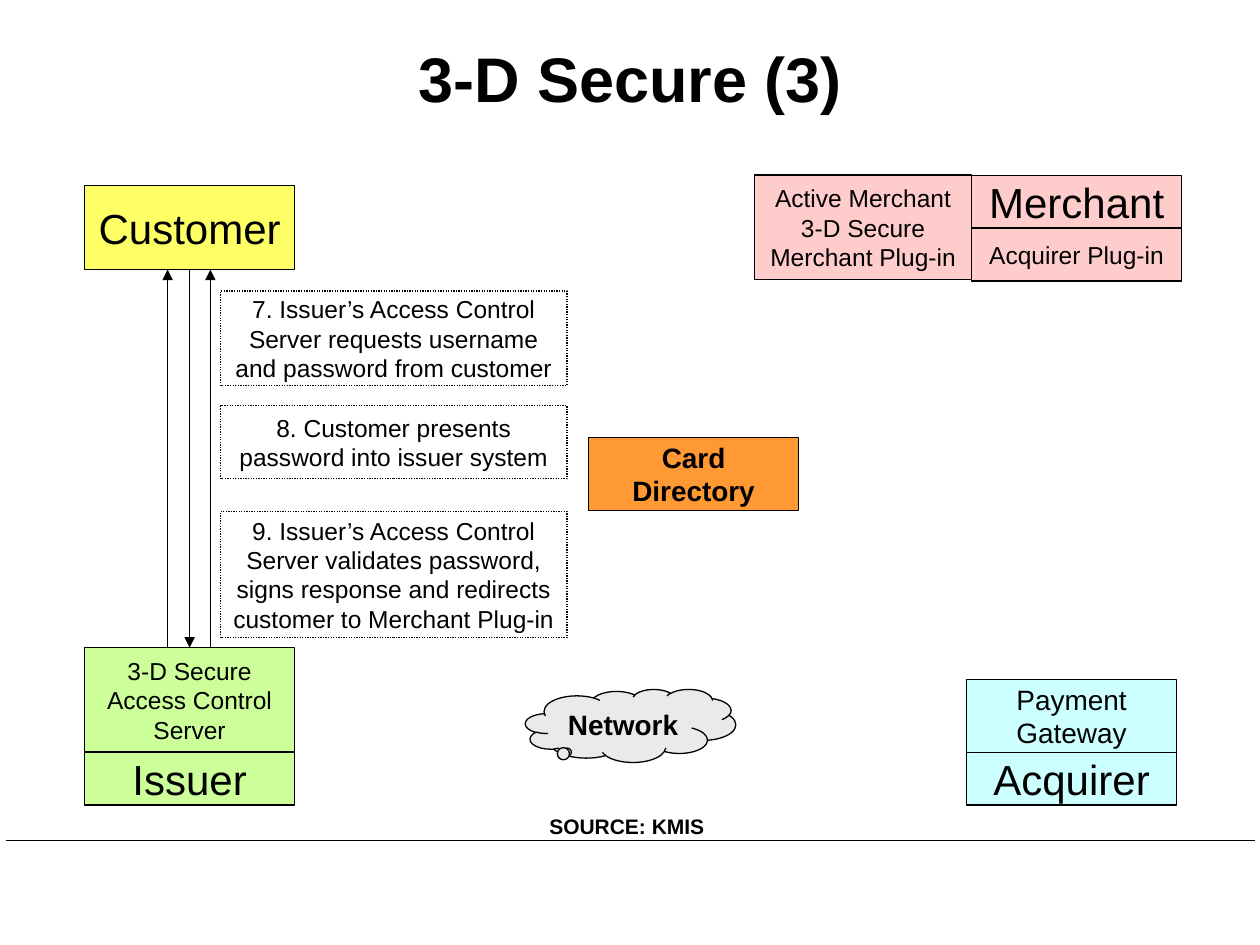
"""Build the third 3-D Secure slide: issuer authentication of the customer."""
from lxml import etree
from pptx import Presentation
from pptx import util as u
from pptx.dml.color import RGBColor
from pptx.enum import dml, shapes, text
from pptx.oxml import ns

THEME = {
    "font": "Arial",
    "ink": "000000",
    "customer": "FFFF66",
    "merchant": "FFCCCC",
    "issuer": "CCFF99",
    "acquirer": "CCFFFF",
    "directory": "FF9933",
    "network": "EAEAEA",
    "title": 36,
    "party": 24,
    "system": 16,
    "detail": 14,
    "source": 12,
}
INK = RGBColor.from_string(THEME["ink"])
BOX_WIDTH = 1.67
LEFT, RIGHT = 0.67, 7.67
STEP_LEFT, STEP_WIDTH = 1.75, 2.75


def write(shape, lines, size, bold=False, align=text.PP_ALIGN.CENTER, **frame_format):
    frame = shape.text_frame
    frame_values = {
        "word_wrap": True,
        "vertical_anchor": text.MSO_ANCHOR.MIDDLE,
        "margin_left": u.Inches(0.1),
        "margin_right": u.Inches(0.1),
        "margin_top": u.Inches(0.05),
        "margin_bottom": u.Inches(0.05),
    }
    for name, value in (frame_values | frame_format).items():
        setattr(frame, name, value)
    frame.text = lines
    font_values = {"name": THEME["font"], "size": u.Pt(THEME[size]), "bold": bold}
    for paragraph in frame.paragraphs:
        paragraph.alignment = align
        for name, value in font_values.items():
            setattr(paragraph.font, name, value)
        paragraph.font.color.rgb = INK


def add_line(slide, start, end, width, arrow=None):
    points = [u.Inches(value) for value in (*start, *end)]
    line = slide.shapes.add_connector(shapes.MSO_CONNECTOR.STRAIGHT, *points)
    line.line.color.rgb = INK
    line.line.width = u.Pt(width)
    if arrow:
        etree.SubElement(line.line._get_or_add_ln(), ns.qn(f"a:{arrow}"), type="triangle")
    etree.SubElement(line._element.spPr, ns.qn("a:effectLst"))
    return line


presentation = Presentation()
presentation.slide_width = u.Inches(10)
presentation.slide_height = u.Inches(7.5)
slide = presentation.slides.add_slide(presentation.slide_layouts[5])

add_line(slide, (0.05, 6.67), (9.96, 6.67), 1)

title = slide.shapes.title
title_place = {"left": 0.75, "top": -0.01, "width": 8.5, "height": 1.25}
for name, value in title_place.items():
    setattr(title, name, u.Inches(value))
write(title, "3-D Secure (3)", "title", bold=True)

RECTANGLE = shapes.MSO_SHAPE.RECTANGLE
CLOUD = shapes.MSO_SHAPE.CLOUD_CALLOUT
boxes = [
    ("Customer", LEFT, 1.47, BOX_WIDTH, 0.67, "customer", "party", False, RECTANGLE),
    ("Merchant", 7.71, 1.39, BOX_WIDTH, 0.42, "merchant", "party", False, RECTANGLE),
    ("Acquirer Plug-in", 7.71, 1.81, BOX_WIDTH, 0.42, "merchant", "detail", False, RECTANGLE),
    ("Active Merchant\n3-D Secure\nMerchant Plug-in", 5.99, 1.39, 1.72, 0.83,
     "merchant", "detail", False, RECTANGLE),
    ("Issuer", LEFT, 5.97, BOX_WIDTH, 0.42, "issuer", "party", False, RECTANGLE),
    ("3-D Secure\nAccess Control Server", LEFT, 5.14, BOX_WIDTH, 0.83,
     "issuer", "detail", False, RECTANGLE),
    ("Acquirer", RIGHT, 5.97, BOX_WIDTH, 0.42, "acquirer", "party", False, RECTANGLE),
    ("Payment\nGateway", RIGHT, 5.39, BOX_WIDTH, 0.58, "acquirer", "system", False, RECTANGLE),
    ("Card\nDirectory", 4.67, 3.47, BOX_WIDTH, 0.58, "directory", "system", True, RECTANGLE),
    ("Network", 4.17, 5.47, BOX_WIDTH, 0.58, "network", "system", True, CLOUD),
    ("7. Issuer’s Access Control Server requests username and password from customer",
     STEP_LEFT, 2.31, STEP_WIDTH, 0.75, None, "detail", False, RECTANGLE),
    ("8. Customer presents password into issuer system",
     STEP_LEFT, 3.22, STEP_WIDTH, 0.58, None, "detail", False, RECTANGLE),
    ("9. Issuer’s Access Control Server validates password, signs response and "
     "redirects customer to Merchant Plug-in",
     STEP_LEFT, 4.06, STEP_WIDTH, 1, None, "detail", False, RECTANGLE),
]
placed = {}
for label, left, top, width, height, fill, size, bold, kind in boxes:
    place = [u.Inches(value) for value in (left, top, width, height)]
    shape = slide.shapes.add_shape(kind, *place)
    shape.shadow.inherit = False
    shape.line.color.rgb = INK
    shape.line.width = u.Pt(0.75)
    if fill:
        shape.fill.solid()
        shape.fill.fore_color.rgb = RGBColor.from_string(THEME[fill])
    else:
        shape.fill.background()
        shape.line.dash_style = dml.MSO_LINE.ROUND_DOT
    if kind == CLOUD:
        shape.adjustments[0] = -0.3
        shape.adjustments[1] = 0.36
    write(shape, label, size, bold)
    placed[label] = shape

for x, arrow in ((1.33, "headEnd"), (1.5, "tailEnd"), (1.67, "headEnd")):
    message = add_line(slide, (x, 2.14), (x, 5.14), 0.75, arrow)
    if arrow == "tailEnd":
        message.begin_connect(placed["Customer"], 2)
        message.end_connect(placed["3-D Secure\nAccess Control Server"], 0)

source = slide.shapes.add_textbox(*[u.Inches(value) for value in (4.26, 6.41, 1.43, 0.3)])
write(source, "SOURCE: KMIS", "source", bold=True, align=text.PP_ALIGN.RIGHT,
      word_wrap=False, vertical_anchor=text.MSO_ANCHOR.TOP,
      auto_size=text.MSO_AUTO_SIZE.SHAPE_TO_FIT_TEXT)

presentation.save("out.pptx")
